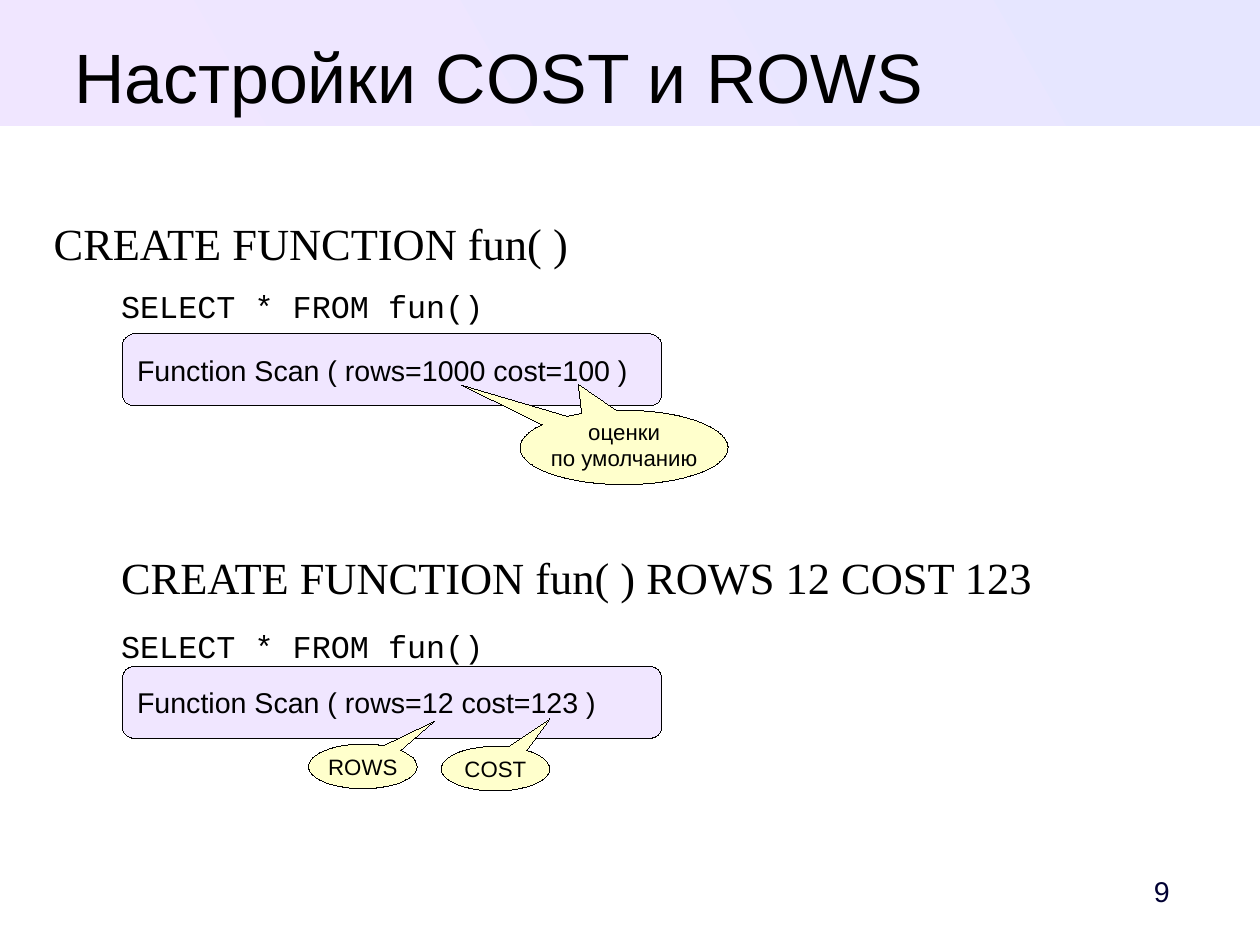
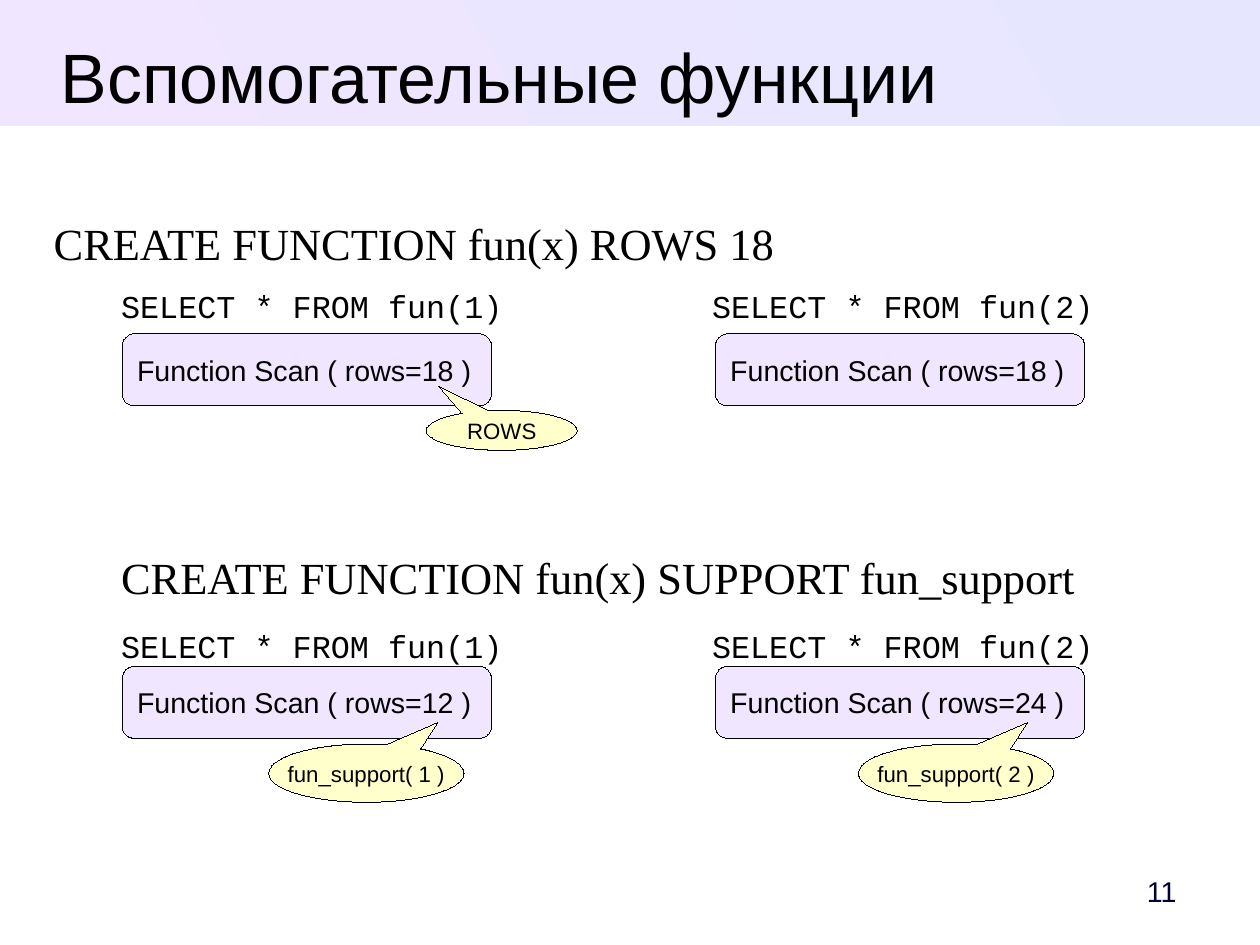
import math

from pptx import Presentation
from pptx import util as u
from pptx.dml.color import RGBColor
from pptx.enum import shapes, text

COLORS = {"black": "000000", "white": "FFFFFF", "number": "000033",
          "band_right": "E6E6FF", "band_left": "F0E6FF",
          "plan": "F0E6FF", "callout": "FFFFCC"}

STYLES = {
    "title": {"name": "Arial", "size": u.Pt(44)},
    "heading": {"name": "Times New Roman", "size": u.Pt(28)},
    "query": {"name": "Courier New", "size": u.Pt(20)},
    "plan": {"name": "Arial", "size": u.Pt(18)},
    "callout": {"name": "Arial", "size": u.Pt(14)},
    "number": {"name": "Arial", "size": u.Pt(18)},
}

# Content: each section is a heading with (query, plan) pairs, one per column.
# Callouts: text, box (left, top, width, height), tail tips.
SLIDES = [
    {"title": "Настройки COST и ROWS", "number": "9", "plan_width": 4.72,
     "sections": [
         ("CREATE FUNCTION fun( )",
          [("SELECT * FROM fun()", "Function Scan ( rows=1000 cost=100 )")]),
         ("CREATE FUNCTION fun( ) ROWS 12 COST 123",
          [("SELECT * FROM fun()", "Function Scan ( rows=12 cost=123 )")])],
     "callouts": [
         ("ROWS", (2.7, 6.51, 0.95, 0.39), [(3.8, 6.31)]),
         ("оценки\nпо умолчанию", (4.55, 3.59, 1.82, 0.65),
          [(4.04, 3.37), (5.06, 3.36)]),
         ("COST", (3.86, 6.53, 0.95, 0.39), [(4.81, 6.29)])]},
    {"title": "Вспомогательные функции", "number": "11", "plan_width": 3.23,
     "sections": [
         ("CREATE FUNCTION fun(x) ROWS 18",
          [("SELECT * FROM fun(1)", "Function Scan ( rows=18 )"),
           ("SELECT * FROM fun(2)", "Function Scan ( rows=18 )")]),
         ("CREATE FUNCTION fun(x) SUPPORT fun_support",
          [("SELECT * FROM fun(1)", "Function Scan ( rows=12 )"),
           ("SELECT * FROM fun(2)", "Function Scan ( rows=24 )")])],
     "callouts": [
         ("ROWS", (3.73, 3.59, 1.32, 0.35), [(3.84, 3.38)]),
         ("fun_support( 1 )", (2.35, 6.51, 1.71, 0.51), [(3.83, 6.32)]),
         ("fun_support( 2 )", (7.51, 6.51, 1.71, 0.51), [(8.99, 6.32)])]},
]

# Layout: the page is 28 by 21 cm, all other lengths are in inches
PAGE_WIDTH, PAGE_HEIGHT = u.Cm(28), u.Cm(21)
SECTION_PLACES = [
    {"heading": (0.47, 1.89), "query": 2.51, "plan": 2.92},
    {"heading": (1.06, 4.81), "query": 5.48, "plan": 5.83},
]
QUERY_LEFTS = [1.06, 6.23]
PLAN_LEFTS = [1.07, 6.26]
PLAN_HEIGHT = 0.63
HAIRLINE = u.Pt(0.01)
TAIL_ANGLES = [(218, 237), (246, 266)]  # where two tails meet the ellipse


def color(name):
    return RGBColor.from_string(COLORS[name])


def inches(*values):
    return [u.Inches(value) for value in values]


def write(shape, content, style, align=text.PP_ALIGN.LEFT,
          anchor=text.MSO_ANCHOR.MIDDLE, insets=(0.1, 0.05, 0.1, 0.05),
          wrap=False, ink="black"):
    frame = shape.text_frame
    frame.text = content
    left, top, right, bottom = inches(*insets)
    settings = {"word_wrap": wrap, "vertical_anchor": anchor,
                "margin_left": left, "margin_top": top,
                "margin_right": right, "margin_bottom": bottom}
    for key, value in settings.items():
        setattr(frame, key, value)
    for paragraph in frame.paragraphs:
        paragraph.alignment = align
        for key, value in STYLES[style].items():
            setattr(paragraph.font, key, value)
        paragraph.font.color.rgb = color(ink)


def add_text(slide, box, content, style, **options):
    write(slide.shapes.add_textbox(*inches(*box)), content, style, **options)


def paint(shape, fill):
    shape.shadow.inherit = False
    shape.fill.solid()
    shape.fill.fore_color.rgb = color(fill)
    shape.line.color.rgb = color("black")
    shape.line.width = HAIRLINE


def add_frame(slide, title, number):
    """Band, title and page number shared by every slide."""
    slide.background.fill.solid()
    slide.background.fill.fore_color.rgb = color("white")
    band = slide.shapes.add_shape(shapes.MSO_SHAPE.RECTANGLE,
                                  0, 0, PAGE_WIDTH, u.Inches(1.1))
    band.shadow.inherit = False
    band.line.fill.background()
    band.fill.gradient()
    band.fill.gradient_angle = 210
    for stop, name in zip(band.fill.gradient_stops, ("band_right", "band_left")):
        stop.color.rgb = color(name)
    center = text.PP_ALIGN.CENTER
    add_text(slide, (0.47, 0.29, 7.8, 0.69), title, "title", align=center,
             anchor=text.MSO_ANCHOR.TOP, insets=(0, 0, 0, 0), wrap=True)
    add_text(slide, (9.69, 7.56, 0.87, 0.47), number, "number", align=center,
             insets=(0.1, 0.05, 0.02, 0.05), wrap=True, ink="number")


def add_plan(slide, box, content):
    plan = slide.shapes.add_shape(shapes.MSO_SHAPE.ROUNDED_RECTANGLE,
                                  *inches(*box))
    paint(plan, "plan")
    write(plan, content, "plan")


def add_section(slide, places, heading, columns, plan_width):
    plain = {"anchor": text.MSO_ANCHOR.TOP, "insets": (0, 0, 0, 0)}
    add_text(slide, (*places["heading"], 9.4, 0.45), heading, "heading", **plain)
    for query_left, plan_left, (query, plan) in zip(QUERY_LEFTS, PLAN_LEFTS, columns):
        add_text(slide, (query_left, places["query"], 3.5, 0.32), query, "query",
                 **plain)
        add_plan(slide, (plan_left, places["plan"], plan_width, PLAN_HEIGHT), plan)


def two_tailed_ellipse(slide, box, tips):
    left, top, width, height = box

    def arc(start, end):
        return [(left + width / 2 * (1 + math.cos(math.radians(angle))),
                 top + height / 2 * (1 + math.sin(math.radians(angle))))
                for angle in range(start, end + 1, 3)]

    (first_start, first_end), (second_start, second_end) = TAIL_ANGLES
    points = [*arc(second_end, first_start + 360), tips[0],
              *arc(first_end, second_start), tips[1]]
    start, *others = [inches(*point) for point in points]
    builder = slide.shapes.build_freeform(*start)
    builder.add_line_segments(others, close=True)
    return builder.convert_to_shape()


def add_callout(slide, content, box, tips):
    left, top, width, height = box
    insets = (0.1, 0.05, 0.1, 0.05)
    if len(tips) == 2:
        callout = two_tailed_ellipse(slide, box, tips)
        # Keep the text over the ellipse, clear of the tails
        insets = (left - tips[0][0] + 0.1, top - tips[1][1], 0.1, 0.05)
    else:
        callout = slide.shapes.add_shape(shapes.MSO_SHAPE.OVAL_CALLOUT, *inches(*box))
        tip_x, tip_y = tips[0]
        callout.adjustments[0] = (tip_x - left) / width - 0.5
        callout.adjustments[1] = (tip_y - top) / height - 0.5
    paint(callout, "callout")
    write(callout, content, "callout", align=text.PP_ALIGN.CENTER,
          insets=insets, wrap=len(tips) == 2)


def main():
    presentation = Presentation()
    presentation.slide_width = PAGE_WIDTH
    presentation.slide_height = PAGE_HEIGHT
    for page in SLIDES:
        slide = presentation.slides.add_slide(presentation.slide_layouts[6])
        add_frame(slide, page["title"], page["number"])
        for places, (heading, columns) in zip(SECTION_PLACES, page["sections"]):
            add_section(slide, places, heading, columns, page["plan_width"])
        for callout in page["callouts"]:
            add_callout(slide, *callout)
    presentation.save("out.pptx")


if __name__ == "__main__":
    main()
